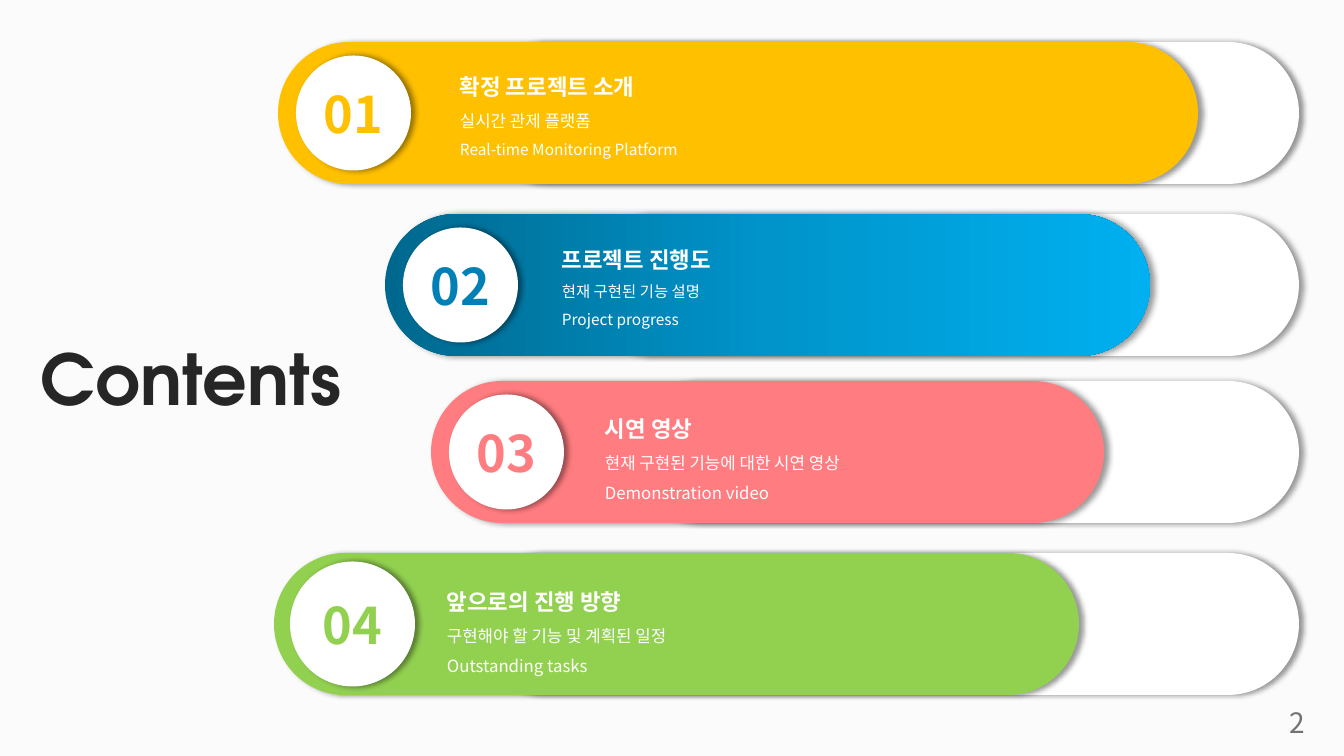
import pptx
import pptx.util
import pptx.dml.color
import pptx.enum.shapes
import pptx.enum.text
import pptx.oxml
import pptx.oxml.ns

PIXEL = 914400 / 100.8
SANS = "Noto Sans CJK KR"
COLORS = {
    "page": "FBFBFB", "white": "FFFFFF", "shadow": "000000",
    "title": "262626", "number": "767171",
    "yellow": "FFC000", "blue": "0080B5", "pink": "FF7C80", "green": "92D050",
    "blue_start": "00688E", "blue_middle": "0094CA", "blue_end": "00B0F0",
}
SHAPES = pptx.enum.shapes.MSO_SHAPE
ALIGN = pptx.enum.text.PP_ALIGN
NAMESPACE = pptx.oxml.ns.nsdecls("a")

deck = pptx.Presentation()
deck.slide_width = round(1344 * PIXEL)
deck.slide_height = round(756 * PIXEL)
page = deck.slides.add_slide(deck.slide_layouts[6])
page.background.fill.solid()
page.background.fill.fore_color.rgb = pptx.dml.color.RGBColor.from_string(COLORS["page"])


def add_panel(kind, color, *bounds):
    panel = page.shapes.add_shape(kind, *[round(value * PIXEL) for value in bounds])
    if kind == SHAPES.ROUNDED_RECTANGLE:
        panel.adjustments[0] = 0.5
    panel.fill.solid()
    panel.fill.fore_color.rgb = pptx.dml.color.RGBColor.from_string(COLORS[color])
    panel.line.fill.background()
    panel._element.spPr.append(pptx.oxml.parse_xml(
        f'<a:effectLst {NAMESPACE}><a:outerShdw blurRad="50800" dist="38100" dir="0" '
        f'algn="l" rotWithShape="0"><a:srgbClr val="{COLORS["shadow"]}">'
        '<a:alpha val="40000"/></a:srgbClr></a:outerShdw></a:effectLst>'))
    return panel


def write_lines(box, lines, color, align, spacing=1.0, typeface=SANS):
    frame = box.text_frame
    frame.word_wrap = True
    for index, (text, size, bold) in enumerate(lines):
        para = frame.paragraphs[0] if index == 0 else frame.add_paragraph()
        para.alignment = align
        para.line_spacing = spacing
        para.text = text
        font = para.font
        font.name = typeface
        font.size = pptx.util.Pt(size)
        font.bold = bold
        font.color.rgb = pptx.dml.color.RGBColor.from_string(COLORS[color])
        font._element.find(pptx.oxml.ns.qn("a:latin")).addnext(
            pptx.oxml.parse_xml(f'<a:ea {NAMESPACE} typeface="{typeface}"/>'))


BAR_HEIGHT = 142
TRACK_INDENT = 196
TRACK_RIGHT = 1299
sections = [
    ("yellow", 278, 42, 1198, 18, 115, (450, 55, 556, 106),
     [("확정 프로젝트 소개", 16), ("실시간 관제 플랫폼", 12),
      ("Real-time\u00a0Monitoring\u00a0Platform", 11)]),
    ("blue", 385, 214, 1150, 18, 115, (552, 228, 454, 103),
     [("프로젝트 진행도", 16), ("현재 구현된 기능 설명", 11), ("Project progress", 11)]),
    ("pink", 431, 381, 1104, 18, 115, (595, 397, 454, 108),
     [("시연 영상", 16), ("현재 구현된 기능에 대한 시연 영상", 12),
      ("Demonstration video", 12)]),
    ("green", 274, 553, 1079, 16, 125, (437, 570, 454, 108),
     [("앞으로의 진행 방향", 16), ("구현해야 할 기능 및 계획된 일정", 12),
      ("Outstanding tasks", 12)]),
]

for number, (color, left, top, right, inset, diameter, area, lines) in enumerate(sections, 1):
    track_left = left + TRACK_INDENT
    add_panel(SHAPES.ROUNDED_RECTANGLE, "white",
              track_left, top, TRACK_RIGHT - track_left, BAR_HEIGHT)
    bar = add_panel(SHAPES.ROUNDED_RECTANGLE, color, left, top, right - left, BAR_HEIGHT)
    if color == "blue":
        bar.fill.gradient()
        bar.fill.gradient_angle = 0
        stops = bar.fill._fill._gradFill.find(pptx.oxml.ns.qn("a:gsLst"))
        stops.clear()
        for position, name in enumerate(("blue_start", "blue_middle", "blue_end")):
            stops.append(pptx.oxml.parse_xml(
                f'<a:gs {NAMESPACE} pos="{position * 50000}">'
                f'<a:srgbClr val="{COLORS[name]}"/></a:gs>'))
    circle = add_panel(SHAPES.OVAL, "white", left + inset,
                       top + (BAR_HEIGHT - diameter) / 2, diameter, diameter)
    circle.text_frame.vertical_anchor = pptx.enum.text.MSO_ANCHOR.MIDDLE
    write_lines(circle, [(f"{number:02}", 36, True)], color, ALIGN.CENTER)
    box = page.shapes.add_textbox(*[round(value * PIXEL) for value in area])
    write_lines(box, [(text, size, size == 16) for text, size in lines],
                "white", ALIGN.JUSTIFY, 1.5)

labels = [
    ((31, 331, 326, 95), "Contents", 50, True, "title", "TeX Gyre Adventor"),
    ((1280, 701, 64, 44), "2", 20, False, "number", SANS),
]
for area, text, size, bold, color, typeface in labels:
    box = page.shapes.add_textbox(*[round(value * PIXEL) for value in area])
    write_lines(box, [(text, size, bold)], color, ALIGN.LEFT, typeface=typeface)

deck.save("out.pptx")
